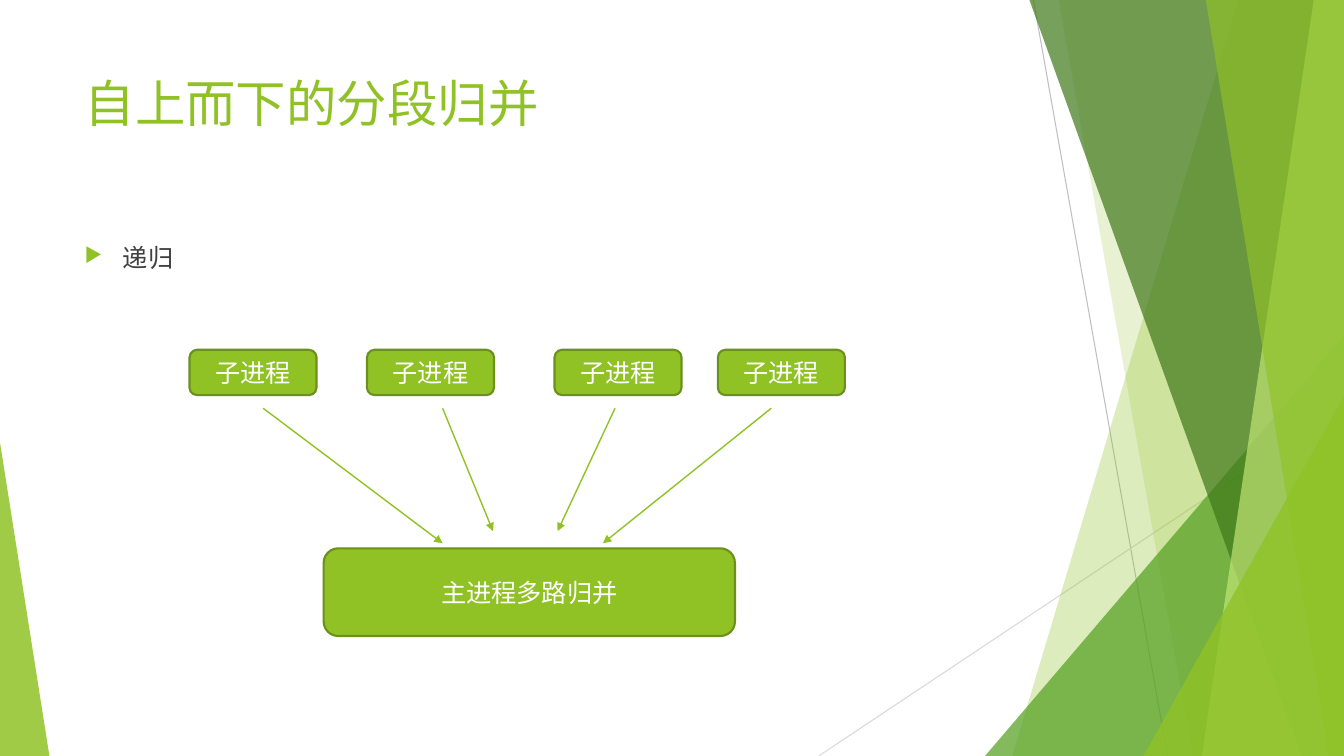
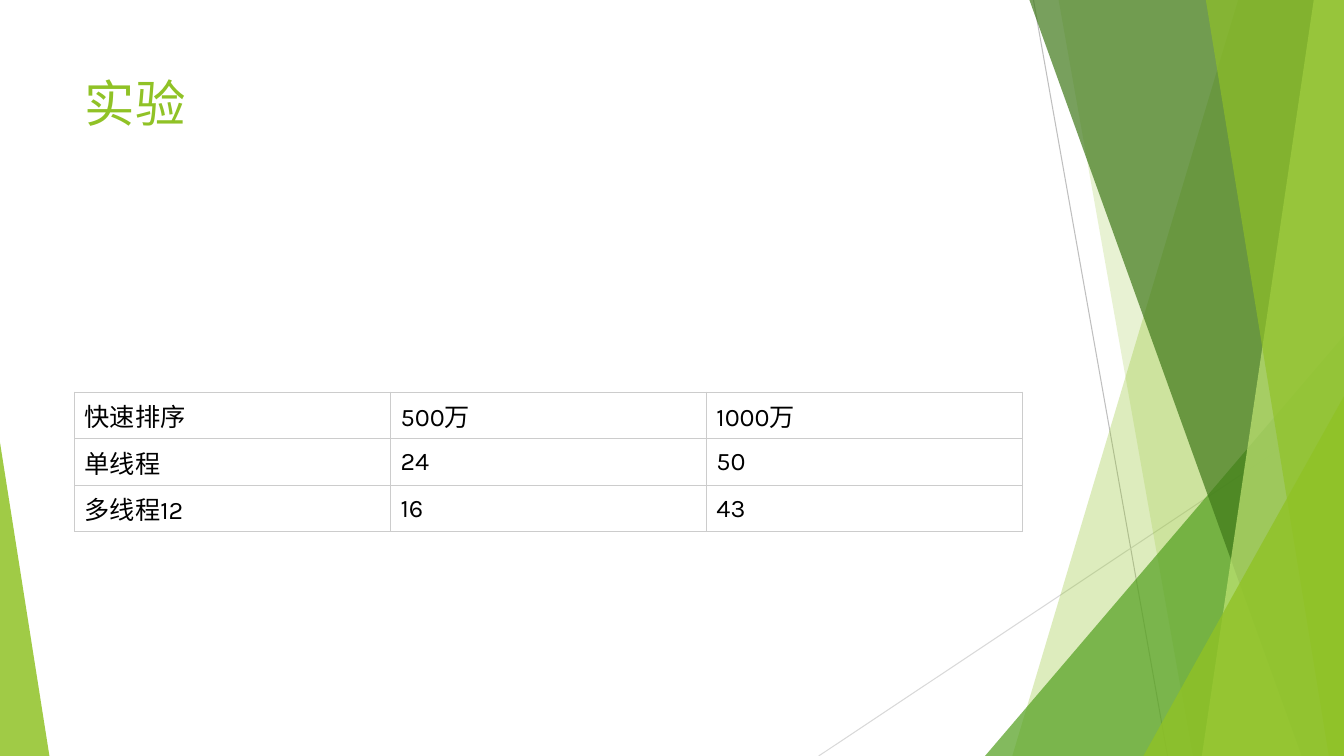
from lxml import etree
from pptx import Presentation
from pptx.dml.color import RGBColor
from pptx.enum.shapes import MSO_CONNECTOR, MSO_SHAPE
from pptx.enum.text import MSO_ANCHOR as Anchor, PP_ALIGN as Align
from pptx.oxml.ns import qn
from pptx.util import Inches, Pt

FONT = "Karla"
GREEN = RGBColor(0x90, 0xC2, 0x26)
MID_GREEN = RGBColor(0x54, 0xA0, 0x21)
DARK_GREEN = RGBColor(0x3F, 0x78, 0x19)
PALE_GREEN = RGBColor(0xC0, 0xE4, 0x74)
OUTLINE = RGBColor(0x6B, 0x90, 0x1C)
BODY_GREY = RGBColor(0x40, 0x40, 0x40)
GREY = RGBColor(0xBF, 0xBF, 0xBF)
LIGHT_GREY = RGBColor(0xD9, 0xD9, 0xD9)
BORDER = RGBColor(0xCC, 0xCC, 0xCC)
BLACK = RGBColor(0, 0, 0)
WHITE = RGBColor(0xFF, 0xFF, 0xFF)

WIDTH, HEIGHT = 13.33, 7.5
MARGIN, CONTENT_WIDTH = 0.74, 9.4


def add_child(parent, tag, **attributes):
    return etree.SubElement(parent, qn(tag), attributes)


def set_text(frame, text, size, color, align=Align.LEFT, anchor=Anchor.TOP):
    frame.text = text
    frame.word_wrap = True
    frame.vertical_anchor = anchor
    para = frame.paragraphs[0]
    para.alignment = align
    style_span(para.runs[0], size, color)


def style_span(span, size, color):
    span.font.name = FONT
    span.font.size = Pt(size)
    span.font.color.rgb = color


def add_line(page, start, end, color, width, arrow=False):
    line = page.shapes.add_connector(
        MSO_CONNECTOR.STRAIGHT, *(Inches(value) for value in (*start, *end)))
    line.line.color.rgb = color
    line.line.width = Pt(width)
    if arrow:
        add_child(line.line._get_or_add_ln(), "a:tailEnd", type="triangle")
    add_child(line.element.spPr, "a:effectLst")
    return line


# Shared decoration
def style_facet(shape, color, opacity):
    shape.shadow.inherit = False
    shape.line.fill.background()
    shape.fill.solid()
    shape.fill.fore_color.rgb = color
    color_node = shape.element.spPr.find(".//" + qn("a:srgbClr"))
    add_child(color_node, "a:alpha", val=str(opacity * 1000))
    return shape


def add_band(page, top_left, bottom_left, color, opacity):
    """A facet from a slanted left edge to the right edge of the slide."""
    corners = [(Inches(x), Inches(y)) for x, y in (
        (top_left, 0), (WIDTH, 0), (WIDTH, HEIGHT), (bottom_left, HEIGHT))]
    builder = page.shapes.build_freeform(*corners[0])
    builder.add_line_segments(corners[1:])
    return style_facet(builder.convert_to_shape(), color, opacity)


def add_corner(page, left, top, width, tip, color, opacity):
    """A triangle standing on the bottom edge of the slide."""
    shape = page.shapes.add_shape(
        MSO_SHAPE.ISOSCELES_TRIANGLE, Inches(left), Inches(top),
        Inches(width), Inches(HEIGHT - top))
    shape.adjustments[0] = tip
    return style_facet(shape, color, opacity)


def decorate_layout(layout, page):
    """Draw the facets on a page, then move them into its layout."""
    for holder in list(layout.placeholders):
        if holder.placeholder_format.idx != 0:
            holder.element.getparent().remove(holder.element)
    parts = [
        add_line(page, (10.25, 0), (11.58, HEIGHT), GREY, 0.75),
        add_line(page, (WIDTH, 4.03), (8.12, HEIGHT), LIGHT_GREY, 0.75),
        add_band(page, 12.28, 10.04, GREEN, 30),
        add_band(page, 10.5, 11.83, GREEN, 20),
        add_corner(page, 9.77, 3.33, 3.56, 1, MID_GREEN, 72),
        add_band(page, 10.21, 12.91, DARK_GREEN, 70),
        add_band(page, 13.03, 11.92, PALE_GREEN, 70),
        add_band(page, 11.96, 13.18, GREEN, 65),
        add_corner(page, 11.34, 3.93, 1.99, 1, GREEN, 80),
        add_corner(page, 0, 4.39, 0.49, 0, GREEN, 85),
    ]
    for part in parts:
        layout.shapes.element.append(part.element)


def add_page(deck, layout, title):
    page = deck.slides.add_slide(layout)
    box = page.shapes.title
    box.left, box.top = Inches(MARGIN), Inches(0.67)
    box.width, box.height = Inches(CONTENT_WIDTH), Inches(1.44)
    set_text(box.text_frame, title, 36, GREEN)
    return page


# Merge slide
def add_bullet(page, text, left, top, width, height):
    box = page.shapes.add_textbox(
        Inches(left), Inches(top), Inches(width), Inches(height))
    set_text(box.text_frame, text, 18, BODY_GREY)
    para = box.text_frame.paragraphs[0]
    para.space_before = Pt(10)
    settings = para._p.get_or_add_pPr()
    settings.set("marL", str(Inches(0.38)))
    settings.set("indent", str(Inches(-0.38)))
    add_child(add_child(settings, "a:buClr"), "a:srgbClr", val=str(GREEN))
    add_child(settings, "a:buSzPct", val="80000")
    add_child(settings, "a:buChar", char="▶")


def add_process(page, text, left, top, width, height):
    box = page.shapes.add_shape(
        MSO_SHAPE.ROUNDED_RECTANGLE, Inches(left), Inches(top),
        Inches(width), Inches(height))
    box.shadow.inherit = False
    box.fill.solid()
    box.fill.fore_color.rgb = GREEN
    box.line.color.rgb = OUTLINE
    box.line.width = Pt(1.5)
    set_text(box.text_frame, text, 18, WHITE, Align.CENTER, Anchor.MIDDLE)


def add_merge_diagram(page, left, top):
    # Child offset, arrow start, arrow end and arrow end height
    branches = [
        (0, 0.73, 2.51, 1.92),
        (1.76, 2.51, 3.01, 1.8),
        (3.62, 4.22, 3.65, 1.8),
        (5.24, 5.77, 4.1, 1.92),
    ]
    for child, start, end, drop in branches:
        add_process(page, "子进程", left + child, top, 1.26, 0.45)
        add_line(page, (left + start, top + 0.58), (left + end, top + drop),
                 GREEN, 1, arrow=True)
    add_process(page, "主进程多路归并", left + 1.33, top + 1.97, 4.08, 0.87)


# Experiment slide
def add_borders(cell):
    settings = cell._tc.get_or_add_tcPr()
    for index, side in enumerate(("a:lnL", "a:lnR", "a:lnT", "a:lnB")):
        line = etree.Element(qn(side), w=str(Pt(0.75)))
        fill = add_child(line, "a:solidFill")
        add_child(fill, "a:srgbClr", val=str(BORDER))
        settings.insert(index, line)


def add_results(page, rows, left, top, width, height):
    table = page.shapes.add_table(
        len(rows), len(rows[0]), Inches(left), Inches(top),
        Inches(width), Inches(height)).table
    table.first_row = table.horz_banding = False
    for row, values in enumerate(rows):
        for column, value in enumerate(values):
            cell = table.cell(row, column)
            cell.text = value
            cell.vertical_anchor = Anchor.MIDDLE
            cell.fill.background()
            style_span(cell.text_frame.paragraphs[0].runs[0], 18, BLACK)
            add_borders(cell)


def main():
    deck = Presentation()
    deck.slide_width, deck.slide_height = Inches(WIDTH), Inches(HEIGHT)
    layout = deck.slide_layouts[5]

    merge = add_page(deck, layout, "自上而下的分段归并")
    decorate_layout(layout, merge)
    add_bullet(merge, "递归", MARGIN, 2.36, CONTENT_WIDTH, 4.24)
    add_merge_diagram(merge, 1.88, 3.47)

    experiment = add_page(deck, layout, "实验")
    add_results(experiment, [
        ("快速排序", "500万", "1000万"),
        ("单线程", "24", "50"),
        ("多线程12", "16", "43"),
    ], MARGIN, 3.89, CONTENT_WIDTH, 1.2)

    deck.save("out.pptx")


if __name__ == "__main__":
    main()
